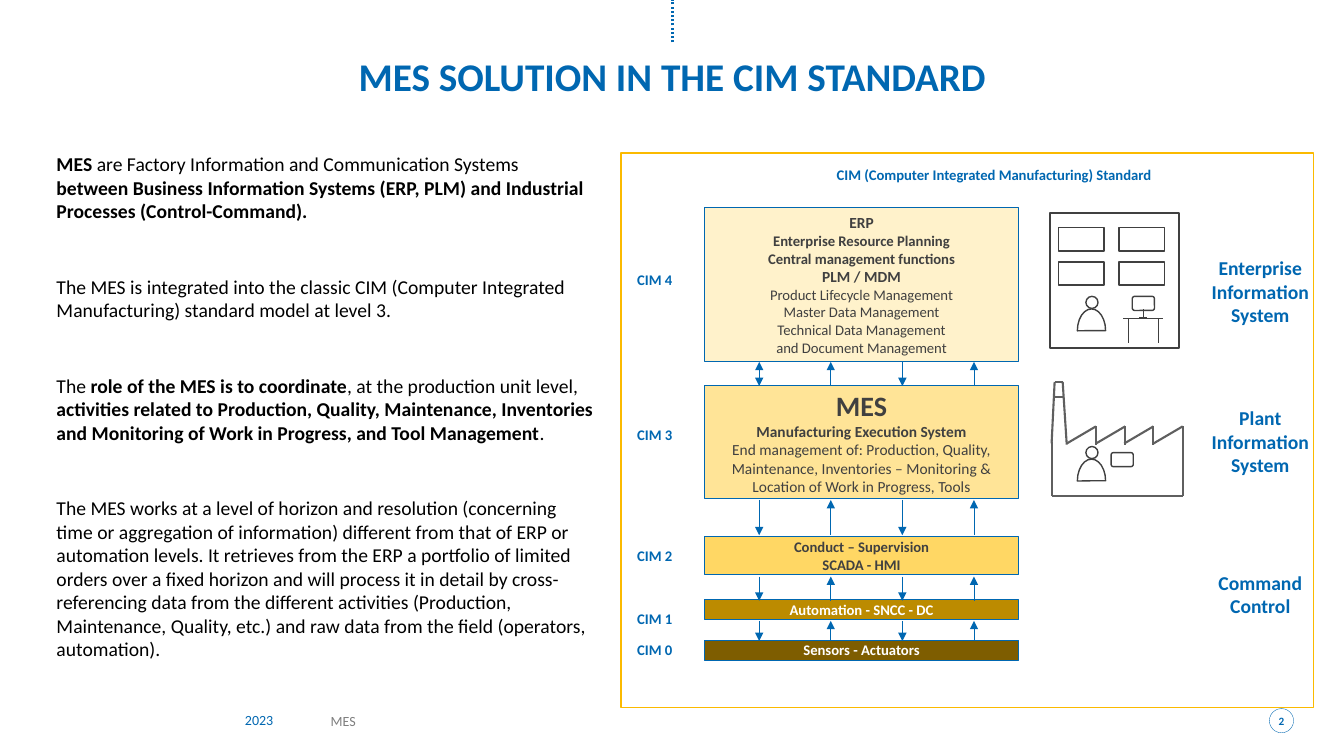
import pptx
import pptx.dml.color
import pptx.enum.dml
import pptx.enum.shapes
import pptx.enum.text
import pptx.oxml.ns
import pptx.util
from lxml import etree

Inches = pptx.util.Inches
Pt = pptx.util.Pt
RGBColor = pptx.dml.color.RGBColor
KIND = pptx.enum.shapes.MSO_SHAPE
ALIGN = pptx.enum.text.PP_ALIGN
ANCHOR = pptx.enum.text.MSO_ANCHOR
qn = pptx.oxml.ns.qn

BLUE = RGBColor(0x00, 0x67, 0xB1)
GOLD = RGBColor(0xFB, 0xBA, 0x00)
DARK = RGBColor(0x40, 0x40, 0x40)
WALL = RGBColor(0x5F, 0x5F, 0x5F)
GRAY = RGBColor(0x7F, 0x7F, 0x7F)
BLACK = RGBColor(0, 0, 0)
WHITE = RGBColor(0xFF, 0xFF, 0xFF)
CREAM = RGBColor(0xFF, 0xF2, 0xCB)
SAND = RGBColor(0xFF, 0xE4, 0x97)
AMBER = RGBColor(0xFF, 0xD7, 0x64)
OCHRE = RGBColor(0xBC, 0x8B, 0x00)
BROWN = RGBColor(0x7E, 0x5D, 0x00)

# Each paragraph is a list of (text, bold) runs.
BODY = [
    [("MES", True),
     (" are Factory Information and Communication Systems ", False),
     ("between Business Information Systems (ERP, PLM) and Industrial "
      "Processes (Control-Command).", True)],
    [("The MES is integrated into the classic CIM (Computer Integrated "
      "Manufacturing) standard model at level 3.", False)],
    [("The ", False), ("role of the MES is to coordinate", True),
     (", at the production unit level, ", False),
     ("activities related to Production, Quality, Maintenance, Inventories "
      "and Monitoring of Work in Progress, and Tool Management", True),
     (".", False)],
    [("The MES works at a level of horizon and resolution (concerning time "
      "or aggregation of information) different from that of ERP or "
      "automation levels. It retrieves from the ERP a portfolio of limited "
      "orders over a fixed horizon and will process it in detail by "
      "cross-referencing data from the different activities (Production, "
      "Maintenance, Quality, etc.) and raw data from the field (operators, "
      "automation).", False)],
]

# Top, height, fill, text colour and (text, size, bold) lines of each level.
LEVELS = [
    (2.06, 1.53, CREAM, DARK,
     [("ERP", 11, True), ("Enterprise Resource Planning", 10.5, True),
      ("Central management functions", 10.5, True), ("PLM / MDM", 11, True),
      ("Product Lifecycle Management", 10.5, False),
      ("Master Data Management", 10.5, False),
      ("Technical Data Management", 10.5, False),
      ("and Document Management", 10.5, False)]),
    (3.82, 1.13, SAND, DARK,
     [("MES", 20, True), ("Manufacturing Execution System", 11, True),
      ("End management of: Production, Quality, Maintenance, Inventories – "
       "Monitoring & Location of Work in Progress, Tools", 11, False)]),
    (5.32, 0.38, AMBER, DARK,
     [("Conduct – Supervision", 10.5, True), ("SCADA - HMI", 10.5, True)]),
    (5.95, 0.2, OCHRE, WHITE, [("Automation - SNCC - DC", 10.5, True)]),
    (6.35, 0.2, BROWN, WHITE, [("Sensors - Actuators", 10.5, True)]),
]
MARKS = [2.69, 4.22, 5.42, 6.05, 6.36]
SCOPES = [("Enterprise Information System", 2.54, 0.71),
          ("Plant Information System", 4.03, 0.71),
          ("Command Control", 5.66, 0.47)]
GAPS = [(3.59, 3.83), (4.96, 5.31), (5.72, 5.96), (6.16, 6.36)]


def place(shape, box):
    shape.left, shape.top, shape.width, shape.height = map(Inches, box)


def inset(frame, side=0.0, edge=0.0):
    frame.margin_left = frame.margin_right = Inches(side)
    frame.margin_top = frame.margin_bottom = Inches(edge)


def add_run(para, text, size, color, bold=False):
    run = para.add_run()
    run.text = text
    run.font.name = "Calibri"
    run.font.size = Pt(size)
    run.font.bold = bold
    run.font.color.rgb = color


def add_lines(frame, lines, color):
    """Fill a frame with centred paragraphs of (text, size, bold)."""
    for i, (text, size, bold) in enumerate(lines):
        para = frame.add_paragraph() if i else frame.paragraphs[0]
        para.alignment = ALIGN.CENTER
        add_run(para, text, size, color, bold)


def add_label(slide, text, box, size, color=BLUE, bold=True, wrap=False):
    frame = slide.shapes.add_textbox(*map(Inches, box)).text_frame
    inset(frame)
    frame.word_wrap = wrap
    if wrap:
        add_lines(frame, [(text, size, bold)], color)
    else:
        add_run(frame.paragraphs[0], text, size, color, bold)


def add_box(slide, box, color=DARK, width=1, fill=None, kind=KIND.RECTANGLE):
    shape = slide.shapes.add_shape(kind, *map(Inches, box))
    shape.shadow.inherit = False
    if fill is None:
        shape.fill.background()
    else:
        shape.fill.solid()
        shape.fill.fore_color.rgb = fill
    shape.line.color.rgb = color
    shape.line.width = Pt(width)
    return shape


def add_line(slide, ends, color=DARK, width=0.5, tips=()):
    """Draw a line; tips names the ends with arrowheads."""
    line = slide.shapes.add_connector(
        pptx.enum.shapes.MSO_CONNECTOR.STRAIGHT, *map(Inches, ends))
    line.line.color.rgb = color
    line.line.width = Pt(width)
    props = line.element.spPr
    for tip in tips:
        etree.SubElement(props.find(qn("a:ln")), qn("a:" + tip),
                         type="triangle")
    etree.SubElement(props, qn("a:effectLst"))
    return line


def add_title(slide):
    title = slide.shapes.title
    place(title, (0.52, 0.56, 12.29, 0.44))
    title.fill.solid()
    title.fill.fore_color.rgb = WHITE
    frame = title.text_frame
    inset(frame)
    frame.vertical_anchor = ANCHOR.MIDDLE
    add_lines(frame, [("MES SOLUTION IN THE CIM STANDARD", 28, True)], BLUE)
    frame.paragraphs[0].line_spacing = 0.9


def add_body(slide):
    body = slide.placeholders[1]
    place(body, (0.52, 1.47, 5.41, 5.2))
    frame = body.text_frame
    inset(frame, 0.04, 0.04)
    frame.auto_size = pptx.enum.text.MSO_AUTO_SIZE.NONE
    frame.vertical_anchor = ANCHOR.TOP
    for i, runs in enumerate(BODY):
        para = frame.add_paragraph() if i else frame.paragraphs[0]
        para.alignment = ALIGN.LEFT
        para.space_before = Pt(37 if i else 0)
        props = para._p.get_or_add_pPr()
        props.set("marL", "0")
        props.set("indent", "0")
        etree.SubElement(props, qn("a:buNone"))
        for text, bold in runs:
            add_run(para, text, 14, BLACK, bold)


def add_levels(slide):
    for top, height, fill, color, lines in LEVELS:
        box = add_box(slide, (6.99, top, 3.11, height), BLUE, 0.75, fill)
        frame = box.text_frame
        inset(frame, 0.07)
        frame.word_wrap = True
        frame.vertical_anchor = ANCHOR.MIDDLE
        add_lines(frame, lines, color)
    for i, top in enumerate(MARKS):
        add_label(slide, f"CIM {4 - i}", (6.32, top, 0.35, 0.18), 10.5)
    for text, top, height in SCOPES:
        add_label(slide, text, (12.01, top, 0.98, height), 14, wrap=True)


def add_flows(slide):
    """Link the levels with arrows that run down and up in turn."""
    for row, (top, low) in enumerate(GAPS):
        for col in range(4):
            x = 7.53 + 0.71 * col
            start, end = (low, top) if col % 2 else (top, low)
            both = row == 0 and col == 0
            tips = ("headEnd", "tailEnd") if both else ("tailEnd",)
            add_line(slide, (x, start, x, end), BLUE, tips=tips)


def add_person(slide, top):
    torso = add_box(slide, (10.61, top + 0.2, 0.43, 0.28), kind=KIND.PIE)
    torso.adjustments[0] = 53.4
    torso.adjustments[1] = 162
    torso.rotation = 90
    add_box(slide, (10.77, top, 0.12, 0.12), kind=KIND.OVAL)


def add_screen(slide, left, top):
    add_box(slide, (left, top, 0.22, 0.14), kind=KIND.ROUNDED_RECTANGLE)


def add_office(slide):
    add_box(slide, (10.41, 2.11, 1.28, 1.34), width=1.5)
    for top in (2.26, 2.6):
        for left in (10.5, 11.1):
            add_box(slide, (left, top, 0.45, 0.23))
    add_person(slide, 2.94)
    add_screen(slide, 11.23, 2.94)
    desk = [(11.14, 3.16, 11.53, 3.16), (11.49, 3.4, 11.49, 3.16),
            (11.19, 3.4, 11.19, 3.16)]
    stand = [(11.3, 3.15, 11.38, 3.15), (11.34, 3.15, 11.34, 3.07)]
    for ends in desk + stand:
        add_line(slide, ends)


def add_plant(slide):
    base = [(10.43, 4.39, 10.43, 4.92), (10.43, 4.92, 11.73, 4.92)]
    stack = [(10.46, 3.79, 10.43, 4.4), (10.54, 3.79, 10.58, 4.41),
             (10.46, 3.79, 10.54, 3.79), (10.45, 3.94, 10.55, 3.94)]
    roof = []
    for x, low in ((10.87, 4.41), (11.16, 4.41), (11.44, 4.41), (11.73, 4.92)):
        roof += [(x, 4.23, x, low), (x, 4.23, x - 0.29, 4.4)]
    for ends in base + stack + roof:
        add_line(slide, ends, WALL, 1.5)
    add_person(slide, 4.43)
    add_screen(slide, 11.02, 4.49)


def add_footer(slide):
    add_label(slide, "2023", (2.43, 7.06, 0.85, 0.18), 10, bold=False)
    add_label(slide, "MES", (3.28, 7.07, 1.72, 0.17), 10, GRAY, False)
    badge = add_box(slide, (12.59, 7.03, 0.24, 0.24), BLUE, 0.25, WHITE,
                    KIND.OVAL)
    frame = badge.text_frame
    inset(frame)
    frame.word_wrap = False
    frame.vertical_anchor = ANCHOR.MIDDLE
    add_lines(frame, [("2", 8, True)], BLUE)


def main():
    deck = pptx.Presentation()
    deck.slide_width, deck.slide_height = Inches(13.33), Inches(7.5)
    slide = deck.slides.add_slide(deck.slide_layouts[1])
    dots = add_line(slide, (6.67, 0.42, 6.67, 0), BLUE, 1.5)
    dots.line.dash_style = pptx.enum.dml.MSO_LINE.ROUND_DOT
    add_title(slide)
    add_footer(slide)
    add_body(slide)
    add_box(slide, (6.16, 1.52, 6.87, 5.5), GOLD)
    add_label(slide, "CIM (Computer Integrated Manufacturing) Standard",
              (7.99, 1.64, 3.74, 0.18), 10.5, wrap=True)
    add_levels(slide)
    add_office(slide)
    add_plant(slide)
    add_flows(slide)
    deck.save("out.pptx")


if __name__ == "__main__":
    main()
